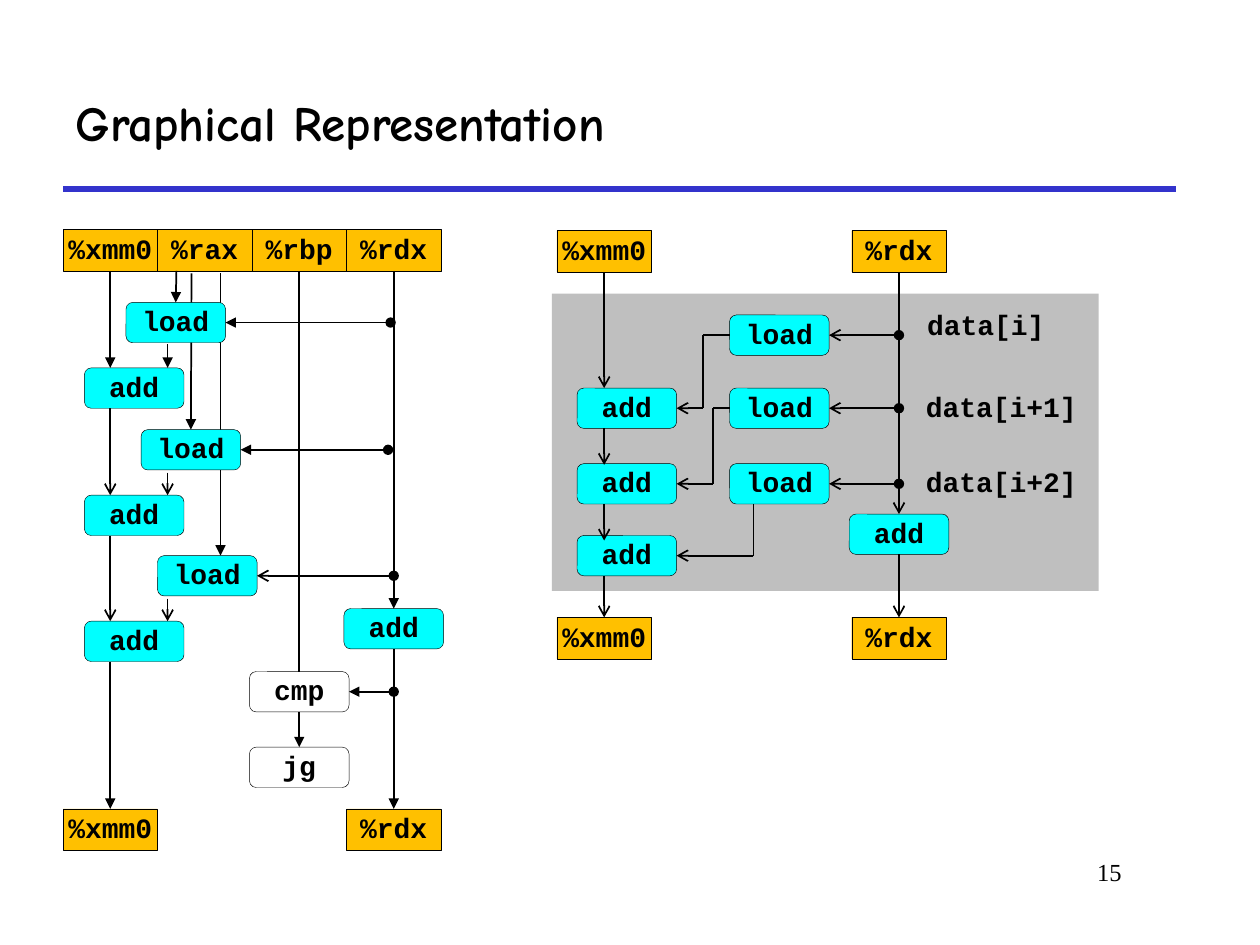
from lxml import etree
from pptx import Presentation
from pptx.dml.color import RGBColor
from pptx.enum import shapes, text
from pptx.oxml import ns
from pptx.util import Inches, Pt

BLACK = RGBColor(0x00, 0x00, 0x00)
WHITE = RGBColor(0xFF, 0xFF, 0xFF)
BLUE = RGBColor(0x33, 0x33, 0xCC)
GOLD = RGBColor(0xFF, 0xC0, 0x00)
CYAN = RGBColor(0x00, 0xFF, 0xFF)
GRAY = RGBColor(0xBF, 0xBF, 0xBF)
CODE_FONT = "Courier New"

REG_W, REG_H = 0.75, 0.33
OP_W, OP_H = 0.79, 0.32
TOP, LEFT, BOTTOM, RIGHT = range(4)

# Registers: name -> (label, left, top)
REGISTERS = {
    "xmm in": ("%xmm0", 0.5, 1.82),
    "rax in": ("%rax", 1.25, 1.82),
    "rbp in": ("%rbp", 2, 1.82),
    "rdx in": ("%rdx", 2.75, 1.82),
    "xmm out": ("%xmm0", 0.5, 6.42),
    "rdx out": ("%rdx", 2.75, 6.42),
    "loop xmm in": ("%xmm0", 4.42, 1.83),
    "loop rdx in": ("%rdx", 6.76, 1.83),
    "loop xmm out": ("%xmm0", 4.42, 4.9),
    "loop rdx out": ("%rdx", 6.76, 4.9),
}

# Operations: name -> (label, left, top, fill)
OPERATIONS = {
    "load 1": ("load", 1, 2.4, CYAN),
    "load 2": ("load", 1.12, 3.41, CYAN),
    "load 3": ("load", 1.25, 4.41, CYAN),
    "add 1": ("add", 0.67, 2.92, CYAN),
    "add 2": ("add", 0.67, 3.93, CYAN),
    "add 3": ("add", 0.67, 4.93, CYAN),
    "step": ("add", 2.73, 4.83, CYAN),
    "cmp": ("cmp", 1.98, 5.33, WHITE),
    "jg": ("jg", 1.98, 5.93, WHITE),
    "loop load 1": ("load", 5.79, 2.5, CYAN),
    "loop load 2": ("load", 5.79, 3.08, CYAN),
    "loop load 3": ("load", 5.79, 3.68, CYAN),
    "loop add 1": ("add", 4.58, 3.08, CYAN),
    "loop add 2": ("add", 4.58, 3.68, CYAN),
    "loop add 3": ("add", 4.58, 4.25, CYAN),
    "loop step": ("add", 6.74, 4.08, CYAN),
}

# Columns that the register values flow down
XMM = 0.5 + REG_W / 2
RDX = 2.75 + REG_W / 2
LOOP_XMM = 4.42 + REG_W / 2
LOOP_RDX = 6.76 + REG_W / 2

# Links: (route, head, tail); a stop is (x, y) or (node name, side)
LINKS = [
    ([("xmm in", BOTTOM), (XMM, 2.92)], None, "triangle"),
    ([(XMM, 3.24), (XMM, 3.93)], None, "arrow"),
    ([(XMM, 4.25), (XMM, 4.93)], None, "arrow"),
    ([(XMM, 5.25), ("xmm out", TOP)], None, "triangle"),
    ([(1.4, 2.15), ("load 1", TOP)], None, "triangle"),
    ([(1.33, 2.73), (1.33, 2.92)], None, "triangle"),
    ([(1.33, 3.75), (1.33, 3.93)], None, "arrow"),
    ([(1.33, 4.75), (1.33, 4.93)], None, "arrow"),
    ([("rbp in", BOTTOM), ("cmp", TOP)], None, None),
    ([("cmp", BOTTOM), ("jg", TOP)], None, "triangle"),
    ([("rdx in", BOTTOM), ("step", TOP)], None, "triangle"),
    ([("step", BOTTOM), ("rdx out", TOP)], None, "triangle"),
    ([(3.1, 2.56), ("load 1", RIGHT)], "oval", "triangle"),
    ([(3.08, 3.57), ("load 2", RIGHT)], "oval", "triangle"),
    ([(RDX, 4.57), ("load 3", RIGHT)], "oval", "arrow"),
    ([(RDX, 5.49), ("cmp", RIGHT)], "oval", "triangle"),
    ([("loop xmm in", BOTTOM), (LOOP_XMM, 3.08)], None, "arrow"),
    ([(LOOP_XMM, 3.4), (LOOP_XMM, 3.69)], None, "arrow"),
    ([(LOOP_XMM, 4), (LOOP_XMM, 4.29)], None, "arrow"),
    ([(LOOP_XMM, 4.57), ("loop xmm out", TOP)], None, "arrow"),
    ([("loop rdx in", BOTTOM), ("loop step", TOP)], None, "arrow"),
    ([("loop step", BOTTOM), ("loop rdx out", TOP)], None, "arrow"),
    ([(LOOP_RDX, 2.66), ("loop load 1", RIGHT)], "oval", "arrow"),
    ([(LOOP_RDX, 3.24), ("loop load 2", RIGHT)], "oval", "arrow"),
    ([(LOOP_RDX, 3.84), ("loop load 3", RIGHT)], "oval", "arrow"),
    ([("loop load 1", LEFT), (5.58, 2.66), (5.58, 3.24), ("loop add 1", RIGHT)], None, "arrow"),
    ([("loop load 2", LEFT), (5.66, 3.24), (5.66, 3.84), ("loop add 2", RIGHT)], None, "arrow"),
    ([(5.98, 4), (5.98, 4.41), ("loop add 3", RIGHT)], None, "arrow"),
]

# %rax values that pass behind the operations
RAX_LINKS = [
    [(1.52, 2.17), (1.52, 3.41)],
    [(1.75, 2.17), (1.75, 4.41)],
]

# Labels: (words, left, top, width)
LABELS = [
    ("data[i]", 7.26, 2.42, 1.21),
    ("data[i+1]", 7.25, 3.07, 1.47),
    ("data[i+2]", 7.25, 3.67, 1.47),
]


def style_para(para, font, size, bold=True):
    para.font.name, para.font.size, para.font.bold = font, Pt(size), bold
    para.font.color.rgb = BLACK


def add_block(page, kind, place, fill, label=None):
    block = page.shapes.add_shape(kind, *map(Inches, place))
    block.shadow.inherit = False
    block.fill.solid()
    block.fill.fore_color.rgb = fill
    if label is None:
        block.line.fill.background()
        return block
    block.line.color.rgb = BLACK
    block.line.width = Pt(0.25)
    frame = block.text_frame
    frame.margin_left = frame.margin_right = frame.margin_top = frame.margin_bottom = 0
    frame.vertical_anchor = text.MSO_ANCHOR.MIDDLE
    para = frame.paragraphs[0]
    para.text = label
    para.alignment = text.PP_ALIGN.CENTER
    para.line_spacing = 0.9
    style_para(para, CODE_FONT, 16)
    return block


def add_text(page, words, place, font, size, bold=True):
    box = page.shapes.add_textbox(*map(Inches, place))
    box.text_frame.word_wrap = True
    para = box.text_frame.paragraphs[0]
    para.text = words
    style_para(para, font, size, bold)
    return para


def add_line(page, nodes, start, end, head=None, tail=None, color=BLACK, width=1):
    points = [(0, 0) if stop[0] in nodes else stop for stop in (start, end)]
    line = page.shapes.add_connector(
        shapes.MSO_CONNECTOR.STRAIGHT, *(Inches(value) for point in points for value in point))
    for stop, connect in ((start, line.begin_connect), (end, line.end_connect)):
        if stop[0] in nodes:
            connect(nodes[stop[0]], stop[1])
    line.line.color.rgb = color
    line.line.width = Pt(width)
    outline = line.line._get_or_add_ln()
    for tag, style in (("a:headEnd", head), ("a:tailEnd", tail)):
        if style:
            etree.SubElement(outline, ns.qn(tag), type=style)
    etree.SubElement(line._element.spPr, ns.qn("a:effectLst"))
    return line


def main():
    deck = Presentation()
    deck.slide_width, deck.slide_height = Inches(10), Inches(7.5)
    page = deck.slides.add_slide(deck.slide_layouts[5])

    # Title, rule and page number
    title = page.shapes.title
    title.left, title.top, title.width, title.height = map(Inches, (0.5, 0.5, 8.83, 1))
    title.text_frame.auto_size = text.MSO_AUTO_SIZE.NONE
    title.text_frame.vertical_anchor = text.MSO_ANCHOR.MIDDLE
    para = title.text_frame.paragraphs[0]
    para.text = "Graphical Representation"
    para.alignment = text.PP_ALIGN.LEFT
    para.line_spacing = 0.9
    style_para(para, "Comic Neue", 28)
    add_line(page, {}, (0.5, 1.5), (9.33, 1.5), color=BLUE, width=3)
    number = add_text(page, "15", (7.58, 6.75, 1.42, 0.5), "Times New Roman", 14, False)
    number.alignment = text.PP_ALIGN.RIGHT

    # Loop body panel and the lines behind the operations
    add_block(page, shapes.MSO_SHAPE.RECTANGLE, (4.38, 2.33, 4.34, 2.36), GRAY)
    rax_lines = [add_line(page, {}, *route, tail="triangle") for route in RAX_LINKS]

    # Registers and operations
    nodes = {}
    for name, (label, left, top) in REGISTERS.items():
        nodes[name] = add_block(page, shapes.MSO_SHAPE.RECTANGLE,
                                (left, top, REG_W, REG_H), GOLD, label)
    for name, (label, left, top, fill) in OPERATIONS.items():
        nodes[name] = add_block(page, shapes.MSO_SHAPE.ROUNDED_RECTANGLE,
                                (left, top, OP_W, OP_H), fill, label)
    rax_lines[0].end_connect(nodes["load 2"], TOP)

    # Data flow: the head sits on the first leg, the tail on the last
    for route, head, tail in LINKS:
        legs = list(zip(route, route[1:]))
        for index, (start, end) in enumerate(legs):
            add_line(page, nodes, start, end, head if index == 0 else None,
                     tail if index == len(legs) - 1 else None)

    # Data labels
    for words, left, top, width in LABELS:
        add_text(page, words, (left, top, width, 0.34), CODE_FONT, 16).line_spacing = 0.9

    deck.save("out.pptx")


if __name__ == "__main__":
    main()
